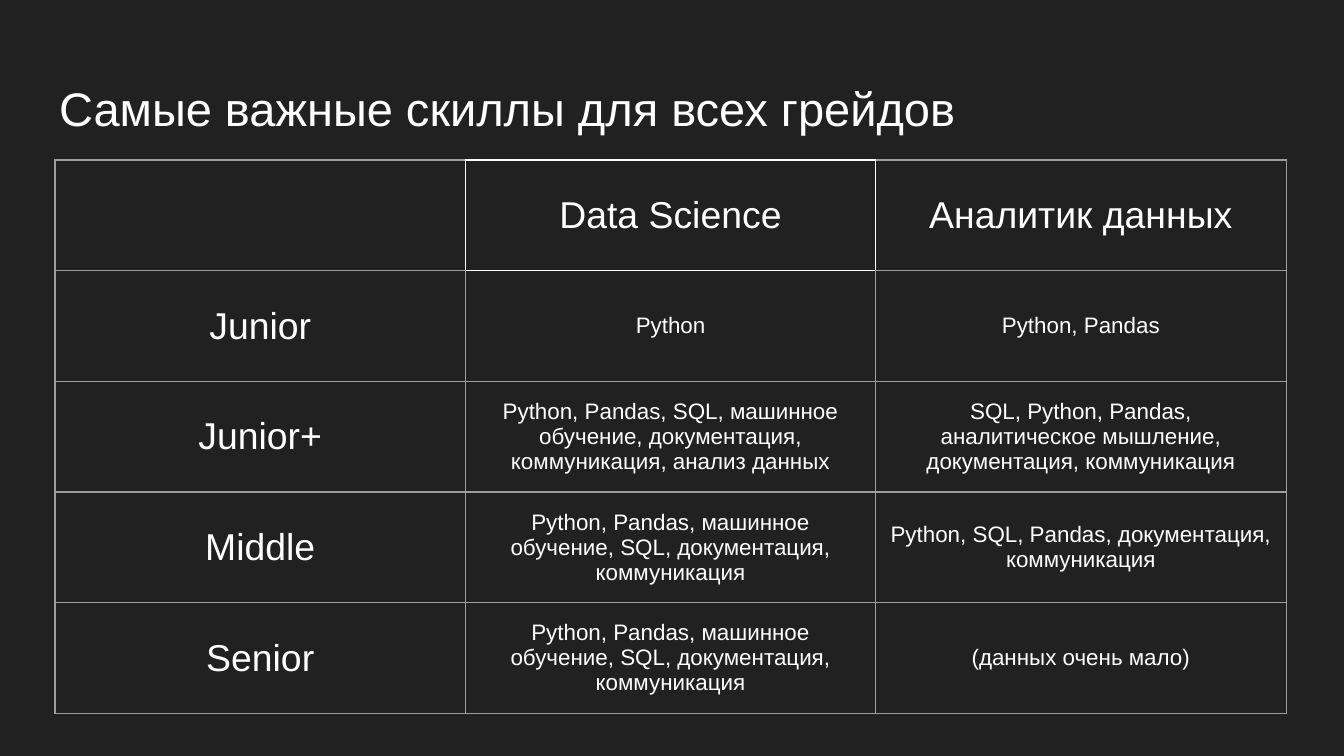
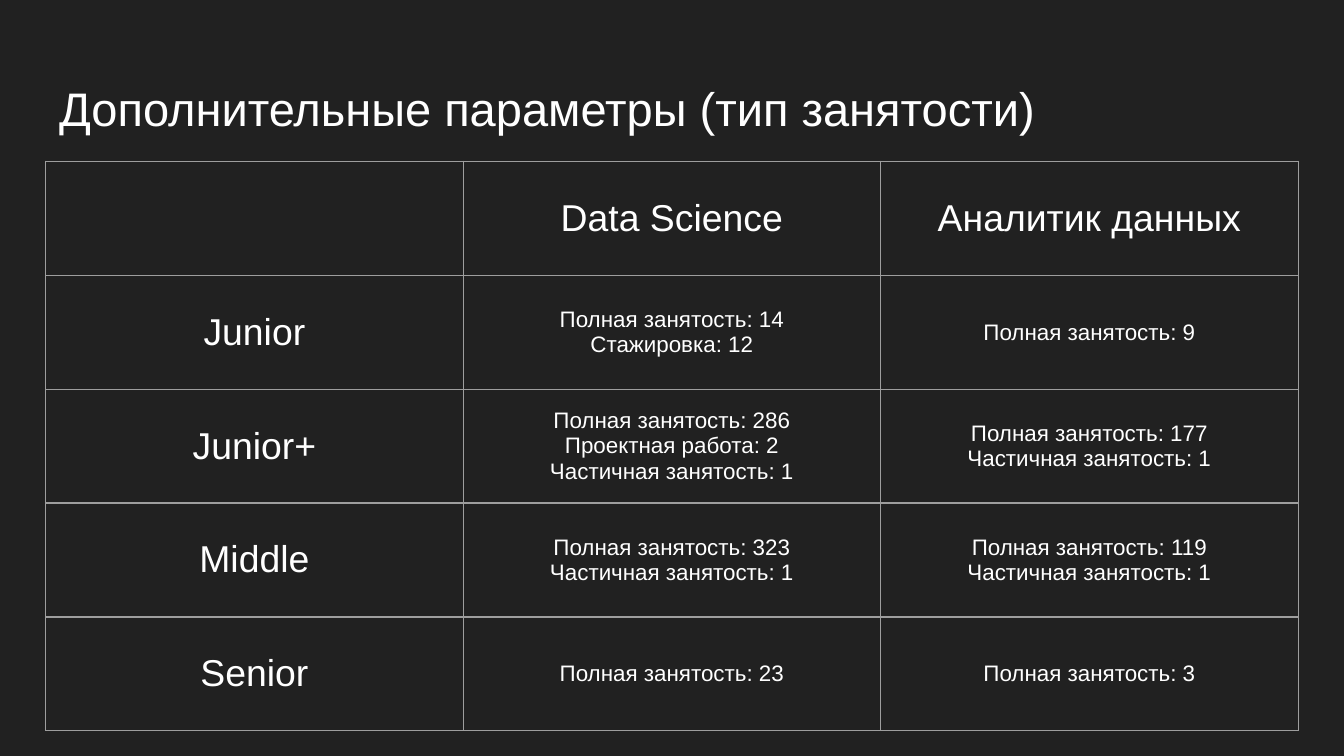
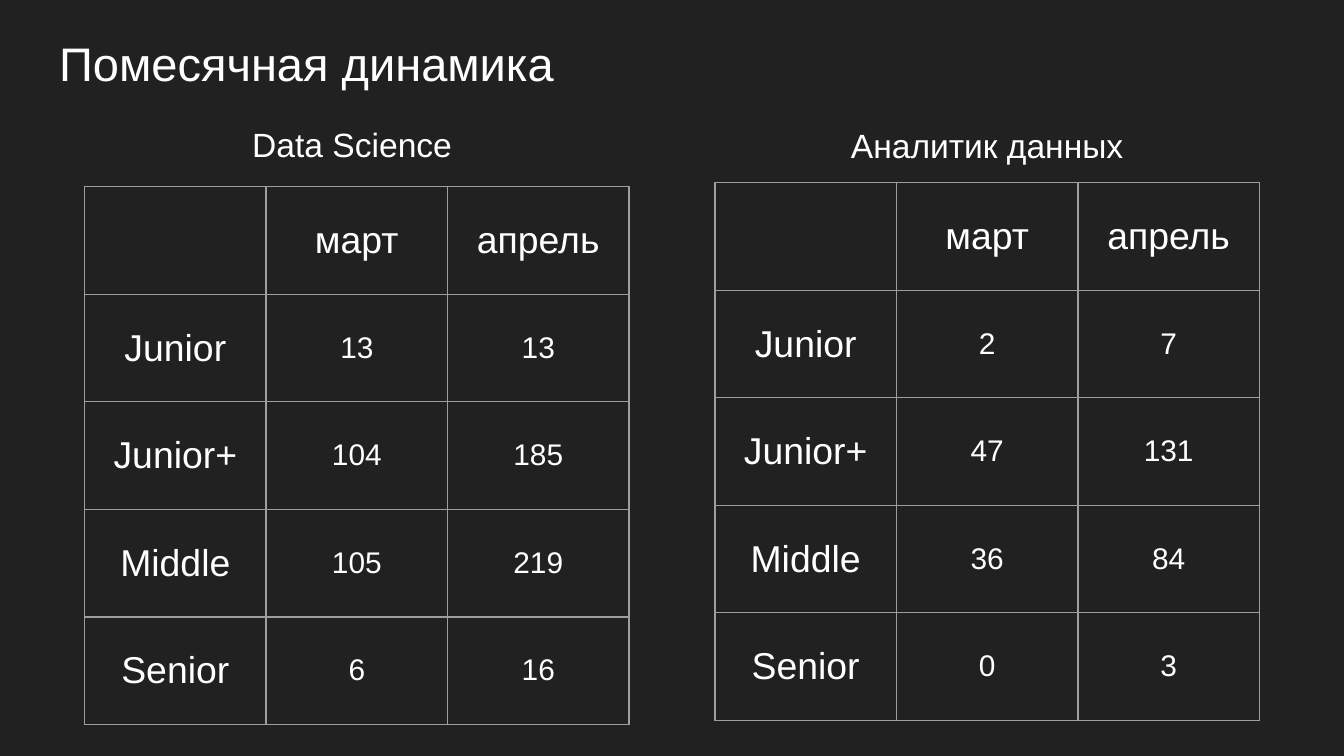
from lxml.etree import SubElement
from pptx import Presentation
from pptx.dml.color import RGBColor
from pptx.enum.text import MSO_ANCHOR, PP_ALIGN
from pptx.oxml.ns import qn
from pptx.util import Inches, Pt

COLORS = {"background": "212121", "text": "FFFFFF", "grid": "9E9E9E", "highlight": "FFFFFF"}
FONT = "Arial"
MARGIN = Inches(0.1)
ROLES = ["Data Science", "Аналитик данных"]
MONTHS = ["март", "апрель"]
GRADES = ["Junior", "Junior+", "Middle", "Senior"]
BORDER_SIDES = {"lnL": (0, -1), "lnR": (0, 1), "lnT": (-1, 0), "lnB": (1, 0)}


def write_text(target, text, size, alignment, anchor=MSO_ANCHOR.MIDDLE):
    target.margin_left = target.margin_right = MARGIN
    target.margin_top = target.margin_bottom = MARGIN
    target.vertical_anchor = anchor
    text_frame = getattr(target, "text_frame", target)
    text_frame.text = text
    for paragraph in text_frame.paragraphs:
        paragraph.alignment = alignment
        paragraph.font.size = Pt(size)
        paragraph.font.name = FONT
        paragraph.font.color.rgb = RGBColor.from_string(COLORS["text"])


def add_grade_table(slide, box, headers, values, value_size, highlight=None):
    rows = [["", *headers]] + [[grade, *row] for grade, row in zip(GRADES, values)]
    left, top, width, height = [Inches(length) for length in box]
    table = slide.shapes.add_table(len(rows), len(rows[0]), left, top, width, height).table
    table.first_row = False
    table.horz_banding = False
    for row_index, row in enumerate(rows):
        for column_index, text in enumerate(row):
            cell = table.cell(row_index, column_index)
            is_value = row_index > 0 and column_index > 0
            write_text(cell, text, value_size if is_value else 20, PP_ALIGN.CENTER)
            properties = cell._tc.get_or_add_tcPr()
            for side, (row_step, column_step) in BORDER_SIDES.items():
                neighbour = (row_index + row_step, column_index + column_step)
                touches = highlight in [(row_index, column_index), neighbour]
                line = SubElement(properties, qn(f"a:{side}"), w=str(Pt(0.75)))
                fill = SubElement(line, qn("a:solidFill"))
                SubElement(fill, qn("a:srgbClr"), val=COLORS["highlight" if touches else "grid"])
            cell.fill.background()


presentation = Presentation()
presentation.slide_width = Inches(10)
presentation.slide_height = presentation.slide_width * 9 // 16
background_fill = presentation.slide_master.background.fill
background_fill.solid()
background_fill.fore_color.rgb = RGBColor.from_string(COLORS["background"])

titles = [
    ("Самые важные скиллы для всех грейдов", 0.49),
    ("Дополнительные параметры (тип занятости)", 0.49),
    ("Помесячная динамика", 0.16),
]
slides = []
for title_text, title_top in titles:
    slide = presentation.slides.add_slide(presentation.slide_layouts[5])
    title = slide.shapes.title
    title.left, title.top = Inches(0.34), Inches(title_top)
    title.width, title.height = Inches(9.32), Inches(0.63)
    write_text(title.text_frame, title_text, 25.2, PP_ALIGN.LEFT, MSO_ANCHOR.TOP)
    slides.append(slide)
skills_slide, employment_slide, months_slide = slides

skills = [
    ["Python", "Python, Pandas"],
    [
        "Python, Pandas, SQL, машинное обучение, документация, коммуникация, анализ данных",
        "SQL, Python, Pandas, аналитическое мышление, документация, коммуникация",
    ],
    [
        "Python, Pandas, машинное обучение, SQL, документация, коммуникация",
        "Python, SQL, Pandas, документация, коммуникация",
    ],
    [
        "Python, Pandas, машинное обучение, SQL, документация, коммуникация",
        "(данных очень мало)",
    ],
]
add_grade_table(skills_slide, (0.41, 1.19, 9.16, 4.12), ROLES, skills, 12, highlight=(0, 1))

employment = [
    ["Полная занятость: 14\nСтажировка: 12", "Полная занятость: 9"],
    [
        "Полная занятость: 286\nПроектная работа: 2\nЧастичная занятость: 1",
        "Полная занятость: 177\nЧастичная занятость: 1",
    ],
    [
        "Полная занятость: 323\nЧастичная занятость: 1",
        "Полная занятость: 119\nЧастичная занятость: 1",
    ],
    ["Полная занятость: 23", "Полная занятость: 3"],
]
add_grade_table(employment_slide, (0.34, 1.2, 9.32, 4.24), ROLES, employment, 12)

monthly_counts = [
    (0.63, 1.39, [["13", "13"], ["104", "185"], ["105", "219"], ["6", "16"]]),
    (5.32, 1.36, [["2", "7"], ["47", "131"], ["36", "84"], ["0", "3"]]),
]
for left, top, counts in monthly_counts:
    add_grade_table(months_slide, (left, top, 4.05, 4), MONTHS, counts, 16)

headings = [
    ("Data Science ", 0.31, MSO_ANCHOR.MIDDLE),
    ("Аналитик данных", 5, MSO_ANCHOR.TOP),
]
for text, left, anchor in headings:
    heading = months_slide.shapes.add_textbox(Inches(left), Inches(0.83), Inches(4.69), Inches(0.48))
    heading.text_frame.word_wrap = True
    write_text(heading.text_frame, text, 18, PP_ALIGN.CENTER, anchor)

presentation.save("out.pptx")
